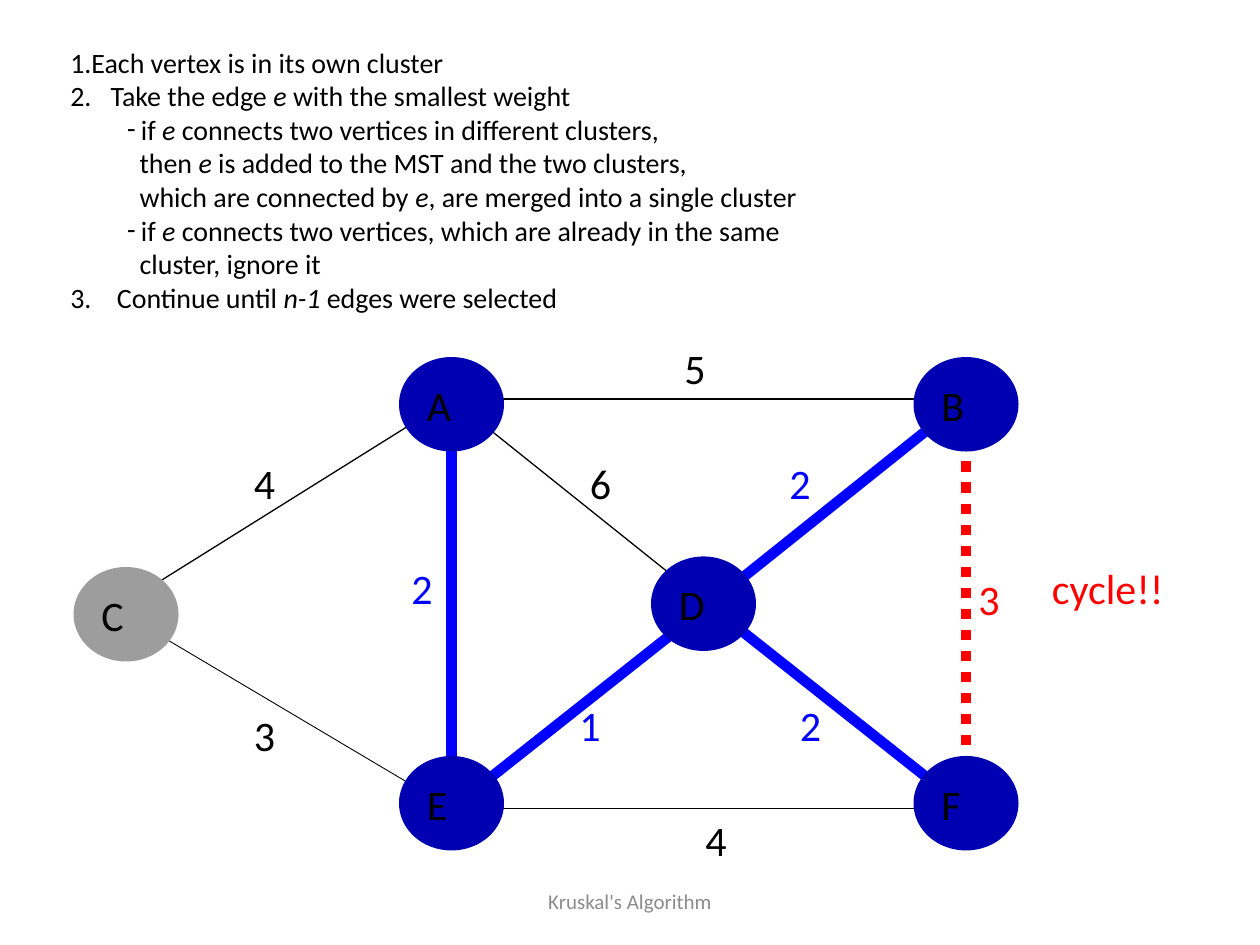
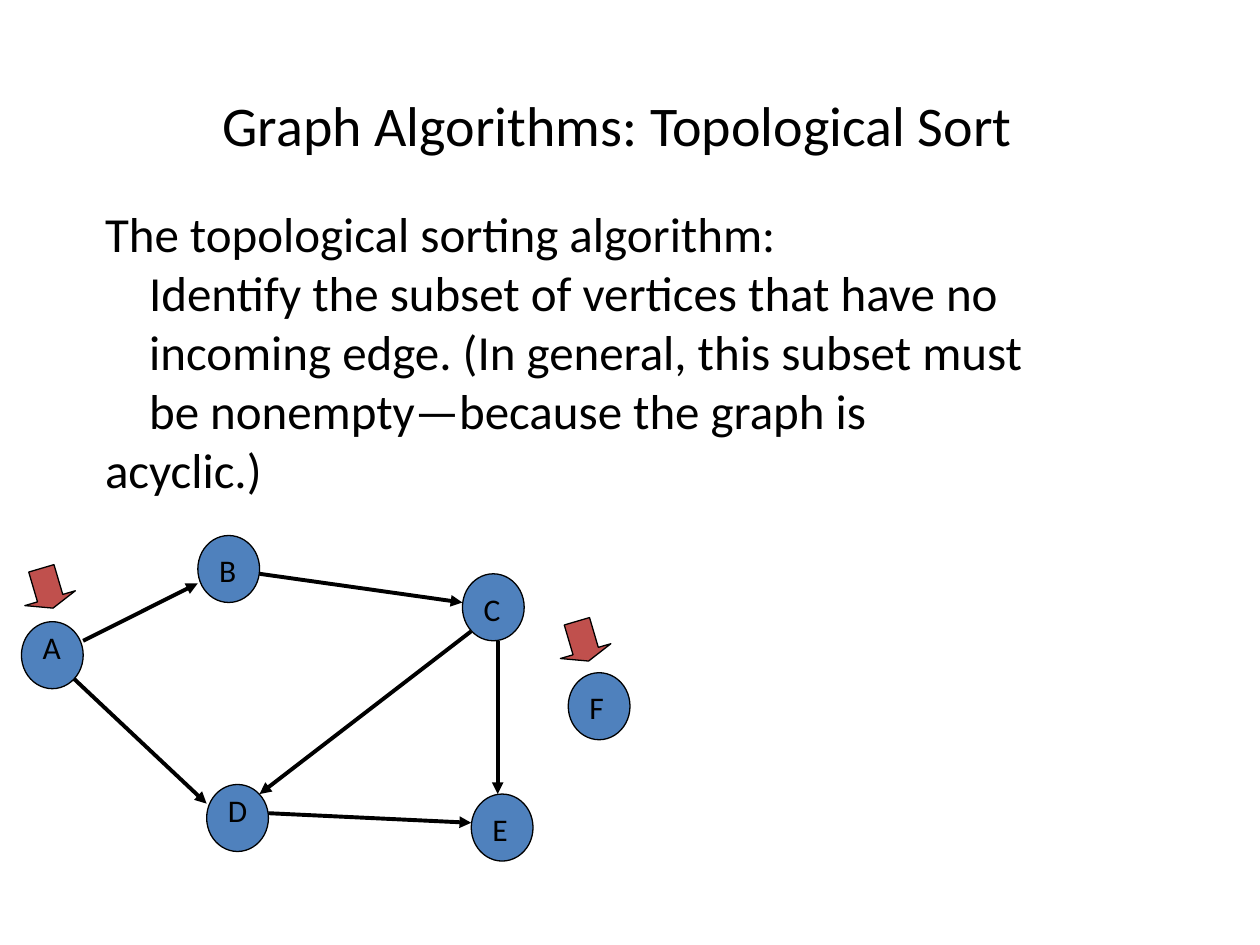
from dataclasses import dataclass
from typing import Optional

from lxml import etree
from pptx import Presentation
from pptx.dml.color import RGBColor
from pptx.enum.dml import MSO_LINE
from pptx.enum.shapes import MSO_CONNECTOR, MSO_SHAPE
from pptx.enum.text import MSO_ANCHOR, MSO_AUTO_SIZE, PP_ALIGN
from pptx.oxml.ns import qn
from pptx.util import Inches, Pt

OVAL, BLOCK_ARROW = MSO_SHAPE.OVAL, MSO_SHAPE.RIGHT_ARROW
STRAIGHT, DOTTED = MSO_CONNECTOR.STRAIGHT, MSO_LINE.ROUND_DOT
TOP, MIDDLE = MSO_ANCHOR.TOP, MSO_ANCHOR.MIDDLE
LEFT, CENTER = PP_ALIGN.LEFT, PP_ALIGN.CENTER
FIXED = MSO_AUTO_SIZE.NONE
TITLE_AND_BODY = 1


@dataclass(frozen=True)
class Theme:
    font: str = "Calibri"
    ink: str = "000000"
    footer: str = "8C8C8C"
    tree: str = "0000FF"
    cycle: str = "FF0000"
    merged: str = "0000B2"
    single: str = "9D9D9D"
    vertex: str = "4F81BD"
    marker: str = "C0504D"
    title_size: int = 32
    body_size: int = 28
    weight_size: int = 24
    vertex_size: int = 18
    step_size: int = 16
    footer_size: int = 12
    hairline: float = 0.75
    arrow_line: float = 2.25
    tree_line: float = 6


THEME = Theme()


@dataclass(frozen=True)
class Grid:
    left: float
    top: float
    column: float
    row: float

    def point(self, column: float, row: float) -> tuple:
        return Inches(self.left + column * self.column), Inches(self.top + row * self.row)

    def area(self, column: float, row: float, columns: float, rows: float) -> tuple:
        return (*self.point(column, row), Inches(columns * self.column), Inches(rows * self.row))


PAGE = Grid(0, 0, 10 / 120, 7.5 / 90)
DIGRAPH = Grid(0.17, 4.25, 0.07, 0.076)


@dataclass(frozen=True)
class Edge:
    start: tuple
    end: tuple
    color: str = THEME.ink
    width: float = THEME.hairline
    dash: Optional[MSO_LINE] = None
    arrow: bool = False


@dataclass(frozen=True)
class Vertex:
    name: str
    column: float
    row: float
    fill: str = THEME.merged
    label_drop: float = 1


@dataclass(frozen=True)
class Label:
    text: str
    column: float
    row: float
    color: str = THEME.ink
    columns: float = 6


@dataclass(frozen=True)
class Step:
    spans: tuple
    margin: float = 0
    hang: float = 0
    number: int = 0
    dash: bool = False


def tree_edge(start: tuple, end: tuple) -> Edge:
    return Edge(start, end, THEME.tree, THEME.tree_line)


def arrow(start: tuple, end: tuple) -> Edge:
    return Edge(start, end, width=THEME.arrow_line, arrow=True)


WEIGHTED_EDGES = (
    Edge((43, 77), (92, 77)),
    Edge((92, 77), (92, 38), THEME.cycle, THEME.tree_line, DOTTED),
    Edge((92, 38), (43, 38)),
    tree_edge((43, 38), (43, 77)),
    tree_edge((68, 58), (92, 77)),
    Edge((43, 38), (68, 58)),
    tree_edge((67, 58), (43, 77)),
    tree_edge((67, 58), (92, 38)),
    Edge((11, 58), (43, 38)),
    Edge((11, 58), (43, 77), width=0.5),
)

CLUSTERS = (
    Vertex("C", 7, 54, THEME.single),
    Vertex("F", 87, 72),
    Vertex("E", 38, 72),
    Vertex("A", 38, 34),
    Vertex("B", 87, 34),
    Vertex("D", 62, 53),
)

WEIGHTS = (
    Label("5", 64, 32),
    Label("6", 55, 43),
    Label("4", 23, 43),
    Label("3", 23, 67),
    Label("4", 66, 77),
    Label("2", 38, 53, THEME.tree),
    Label("1", 54, 66, THEME.tree),
    Label("2", 75, 66, THEME.tree),
    Label("3", 92, 54, THEME.cycle),
    Label("2", 74, 43, THEME.tree),
    Label("cycle!!", 99, 53, THEME.cycle, 13.5),
)

STEPS = (
    Step(("Each vertex is in its own cluster",), number=1),
    Step(("Take the edge ", "e", " with the smallest weight"), 0.32, 0.32, 2),
    Step(("if ", "e", " connects two vertices in different clusters,"), 0.56, 0.11, dash=True),
    Step(("then ", "e", " is added to the MST and the two clusters,"), 0.55),
    Step(("which are connected by ", "e", ", are merged into a single cluster"), 0.55),
    Step(("if ", "e", " connects two vertices, which are already in the same"),
         0.56, 0.11, dash=True),
    Step(("cluster, ignore it",), 0.55),
    Step(("Continue until ", "n-1", " edges were selected"), 0.37, 0.37, 3),
)

SORT_LINES = (
    Step(("The topological sorting algorithm:",)),
    Step(("Identify the subset of vertices that have no",), hang=-0.35),
    Step(("incoming edge. (In general, this subset must",), hang=-0.35),
    Step(("be nonempty—because the graph is acyclic.)",), hang=-0.35),
)

SORT_VERTICES = (
    Vertex("A", 0, 9, THEME.vertex, 0),
    Vertex("B", 20, 0, THEME.vertex),
    Vertex("C", 50, 4, THEME.vertex),
    Vertex("D", 21, 26, THEME.vertex, 0),
    Vertex("F", 62, 14.33, THEME.vertex),
    Vertex("E", 51, 27, THEME.vertex),
)

SORT_EDGES = (
    arrow((7, 11), (20, 5)),
    arrow((27, 4), (50, 7)),
    arrow((6, 15), (21, 28)),
    arrow((28, 29), (51, 30)),
    arrow((54, 11), (54, 27)),
    arrow((51, 10), (27, 27)),
)

SOURCE_MARKERS = ((0.57, 2.76), (61.29, 8.29))


def style_font(font, size: float, color: str = THEME.ink) -> None:
    font.name = THEME.font
    font.size = Pt(size)
    font.color.rgb = RGBColor.from_string(color)


def write(shape, text: str, size: float, color: str = THEME.ink,
          align=LEFT, anchor=TOP) -> None:
    frame = shape.text_frame
    frame.text = text
    frame.word_wrap = True
    frame.auto_size = FIXED
    frame.vertical_anchor = anchor
    para = frame.paragraphs[0]
    para.alignment = align
    for span in para.runs:
        style_font(span.font, size, color)


def add_label(page, area: tuple, text: str, size: float, color: str = THEME.ink,
              align=LEFT, anchor=TOP) -> None:
    write(page.shapes.add_textbox(*area), text, size, color, align, anchor)


def add_solid(page, kind, area: tuple, fill: str, outlined: bool = True):
    shape = page.shapes.add_shape(kind, *area)
    shape.shadow.inherit = False
    shape.fill.solid()
    shape.fill.fore_color.rgb = RGBColor.from_string(fill)
    if outlined:
        shape.line.color.rgb = RGBColor.from_string(THEME.ink)
        shape.line.width = Pt(THEME.hairline)
    else:
        shape.line.fill.background()
    return shape


def add_edge(page, grid: Grid, edge: Edge) -> None:
    line = page.shapes.add_connector(STRAIGHT, *grid.point(*edge.start), *grid.point(*edge.end))
    line.line.color.rgb = RGBColor.from_string(edge.color)
    line.line.width = Pt(edge.width)
    if edge.dash:
        line.line.dash_style = edge.dash
    if edge.arrow:
        etree.SubElement(line.line._get_or_add_ln(), qn("a:tailEnd"), type="triangle")
    etree.SubElement(line._element.spPr, qn("a:effectLst"))


def place(shape, area: tuple):
    shape.left, shape.top, shape.width, shape.height = area
    return shape


def fill_body(body, steps: tuple, size: float) -> None:
    frame = body.text_frame
    frame.word_wrap = True
    frame.auto_size = FIXED
    frame.vertical_anchor = TOP
    for index, step in enumerate(steps):
        para = frame.add_paragraph() if index else frame.paragraphs[0]
        para.space_before = Pt(0)
        props = para._p.get_or_add_pPr()
        props.set("marL", str(Inches(step.margin)))
        props.set("indent", str(Inches(-step.hang)))
        if step.number:
            etree.SubElement(props, qn("a:buFont"), typeface=THEME.font)
            etree.SubElement(props, qn("a:buAutoNum"), type="arabicPeriod",
                             startAt=str(step.number))
        elif step.dash:
            etree.SubElement(props, qn("a:buFont"), typeface=THEME.font)
            etree.SubElement(props, qn("a:buChar"), char="-")
        else:
            etree.SubElement(props, qn("a:buNone"))
        for position, text in enumerate(step.spans):
            span = para.add_run()
            span.text = text
            style_font(span.font, size)
            span.font.italic = position % 2 == 1


def build_kruskal(deck) -> None:
    page = deck.slides.add_slide(deck.slide_layouts[TITLE_AND_BODY])
    title = page.shapes.title._element
    title.getparent().remove(title)
    add_label(page, PAGE.area(41, 83.4, 38, 4.8), "Kruskal's Algorithm",
              THEME.footer_size, THEME.footer, CENTER, MIDDLE)
    for edge in WEIGHTED_EDGES:
        add_edge(page, PAGE, edge)
    for vertex in CLUSTERS:
        oval = add_solid(page, OVAL, PAGE.area(vertex.column, vertex.row, 10, 9),
                         vertex.fill, outlined=False)
        write(oval, vertex.name, THEME.weight_size, anchor=MIDDLE)
    for label in WEIGHTS:
        add_label(page, PAGE.area(label.column, label.row, label.columns, 6),
                  label.text, THEME.weight_size, label.color)
    body = place(page.placeholders[1], PAGE.area(5.5, 3.7, 97, 27.8))
    fill_body(body, STEPS, THEME.step_size)


def build_topological_sort(deck) -> None:
    page = deck.slides.add_slide(deck.slide_layouts[TITLE_AND_BODY])
    title = place(page.shapes.title, PAGE.area(20, 8, 80, 7.6))
    write(title, "Graph Algorithms: Topological Sort", THEME.title_size)
    body = place(page.placeholders[1], PAGE.area(8.8, 18.8, 90, 28))
    fill_body(body, SORT_LINES, THEME.body_size)
    for edge in SORT_EDGES:
        add_edge(page, DIGRAPH, edge)
    for vertex in SORT_VERTICES:
        add_solid(page, OVAL, DIGRAPH.area(vertex.column, vertex.row, 7, 7), vertex.fill)
        add_label(page, DIGRAPH.area(vertex.column + 1, vertex.row + vertex.label_drop, 4.7, 6.6),
                  vertex.name, THEME.vertex_size)
    for column, row in SOURCE_MARKERS:
        marker = add_solid(page, BLOCK_ARROW, DIGRAPH.area(column, row, 4.7, 5.5), THEME.marker)
        marker.adjustments[0] = 0.5
        marker.adjustments[1] = 0.25
        marker.rotation = 73.6


def main() -> None:
    deck = Presentation()
    deck.slide_width, deck.slide_height = Inches(10), Inches(7.5)
    build_kruskal(deck)
    build_topological_sort(deck)
    deck.save("out.pptx")


if __name__ == "__main__":
    main()
